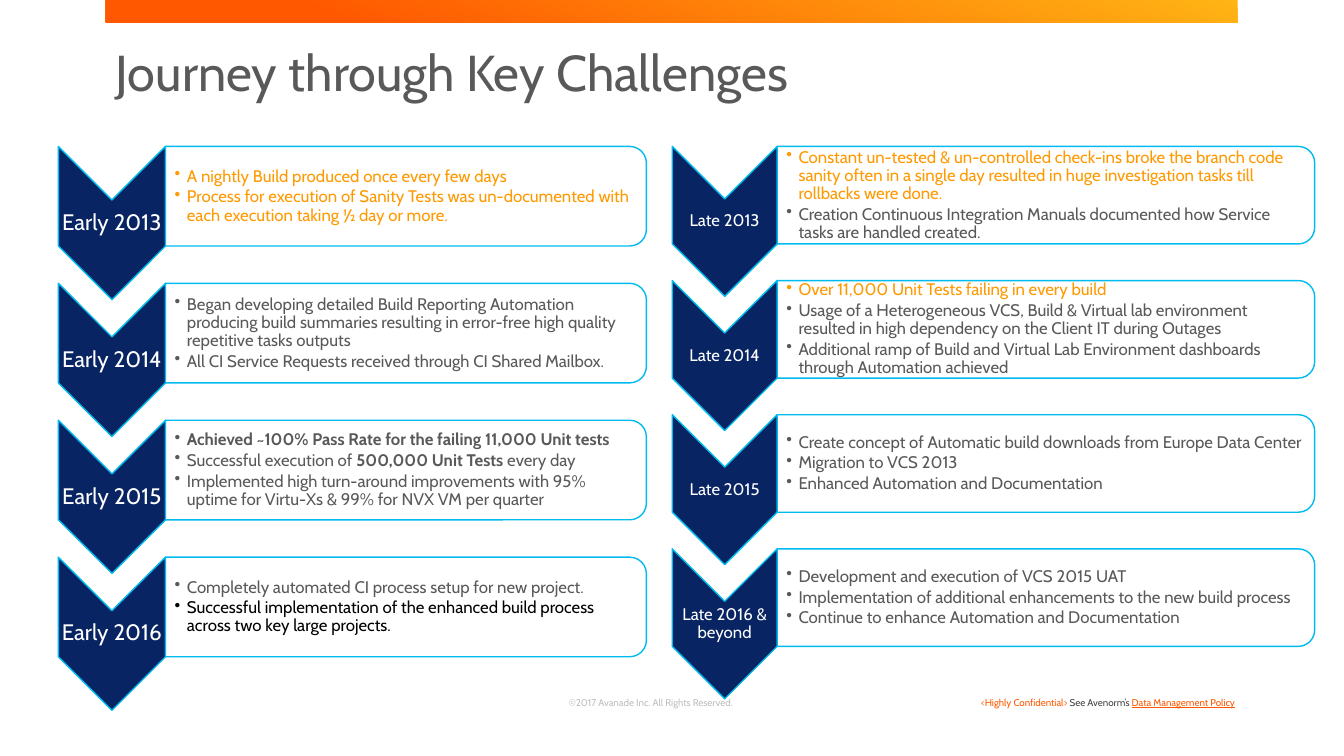
from dataclasses import dataclass

from lxml import etree
from pptx import Presentation
from pptx.dml.color import RGBColor
from pptx.enum.shapes import MSO_SHAPE
from pptx.enum.text import MSO_ANCHOR, PP_ALIGN
from pptx.oxml.ns import qn
from pptx.util import Cm, Pt

CHEVRON = MSO_SHAPE.CHEVRON
PANEL = MSO_SHAPE.ROUND_2_SAME_RECTANGLE
RECTANGLE = MSO_SHAPE.RECTANGLE
TOP, MIDDLE, BOTTOM = MSO_ANCHOR.TOP, MSO_ANCHOR.MIDDLE, MSO_ANCHOR.BOTTOM
LEFT, CENTER, RIGHT = PP_ALIGN.LEFT, PP_ALIGN.CENTER, PP_ALIGN.RIGHT


@dataclass(frozen=True)
class Theme:
    font: str = "Cabin"
    navy: str = "082463"
    cyan: str = "00BBEE"
    white: str = "FFFFFF"
    black: str = "000000"
    grey: str = "595959"
    dark_grey: str = "464646"
    light_grey: str = "BFBFBF"
    amber: str = "FF9900"
    yellow: str = "FFB414"
    orange: str = "FF5800"
    title_size: int = 36
    early_size: int = 16
    body_size: int = 12
    footer_size: int = 7


THEME = Theme()

# Each step: label, then bullets as (text, colour); ** switches bold on and off
EARLY_STEPS = [
    ("Early 2013", [
        ("A nightly Build produced once every few days", THEME.amber),
        ("Process for execution of Sanity Tests was un-documented with each "
         "execution taking ½ day or more.", THEME.amber)]),
    ("Early 2014", [
        ("Began developing detailed Build Reporting Automation producing build summaries "
         "resulting in error-free high quality repetitive tasks outputs", THEME.grey),
        ("All CI Service Requests received through CI Shared Mailbox.", THEME.grey)]),
    ("Early 2015", [
        ("**Achieved ~100% Pass Rate for the failing 11,000 Unit tests**", THEME.grey),
        ("Successful execution of **500,000 Unit Tests **every day", THEME.grey),
        ("Implemented high turn-around improvements with 95% uptime for Virtu-Xs "
         "& 99% for NVX VM per quarter", THEME.grey)]),
    ("Early 2016", [
        ("Completely automated CI process setup for new project.", THEME.grey),
        ("Successful implementation of the enhanced build process across two key "
         "large projects.", THEME.black)]),
]
LATE_STEPS = [
    ("Late 2013", [
        ("Constant un-tested & un-controlled check-ins broke the branch code sanity often in "
         "a single day resulted in huge investigation tasks till rollbacks were done.",
         THEME.amber),
        ("Creation Continuous Integration Manuals documented how Service tasks are "
         "handled created.", THEME.grey)]),
    ("Late 2014", [
        ("Over 11,000 Unit Tests failing in every build", THEME.amber),
        ("Usage of a Heterogeneous VCS, Build & Virtual lab environment resulted in high "
         "dependency on the Client IT during Outages", THEME.grey),
        ("Additional ramp of Build and Virtual Lab Environment dashboards through "
         "Automation achieved", THEME.grey)]),
    ("Late 2015", [
        ("Create concept of Automatic build downloads from Europe Data Center", THEME.grey),
        ("Migration to VCS 2013", THEME.grey),
        ("Enhanced Automation and Documentation", THEME.grey)]),
    ("Late 2016 & beyond", [
        ("Development and execution of VCS 2015 UAT", THEME.grey),
        ("Implementation of additional enhancements to the new build process", THEME.grey),
        ("Continue to enhance Automation and Documentation", THEME.grey)]),
]


def color(value):
    return RGBColor.from_string(value)


def add_text_box(slide, box, anchor, insets):
    """Box and insets are in centimetres; insets run left, top, right, bottom."""
    frame = slide.shapes.add_textbox(*map(Cm, box)).text_frame
    frame.word_wrap = True
    frame.vertical_anchor = anchor
    (frame.margin_left, frame.margin_top,
     frame.margin_right, frame.margin_bottom) = map(Cm, insets)
    return frame


def style_paragraph(paragraph, size, text_color, align=LEFT, spacing=None, after=0):
    paragraph.alignment = align
    paragraph.line_spacing = spacing
    paragraph.space_after = Pt(after)
    font = paragraph.font
    font.name, font.size = THEME.font, Pt(size)
    if text_color:
        font.color.rgb = color(text_color)


def add_bullet(paragraph, indent):
    properties = paragraph._p.get_or_add_pPr()
    properties.set("marL", str(Cm(indent)))
    properties.set("indent", str(-Cm(indent)))
    etree.SubElement(properties, qn("a:buChar")).set("char", "•")


def add_turned_shape(slide, kind, box, fill_color, opacity=100):
    """Add a shape turned a quarter right that covers the given box."""
    left, top, width, height = box
    shift = (width - height) / 2
    shape = slide.shapes.add_shape(
        kind, Cm(left + shift), Cm(top - shift), Cm(height), Cm(width))
    shape.rotation = 90
    shape.shadow.inherit = False
    shape.fill.solid()
    shape.fill.fore_color.rgb = color(fill_color)
    if opacity < 100:
        rgb = shape._element.spPr.find(qn("a:solidFill")).find(qn("a:srgbClr"))
        etree.SubElement(rgb, qn("a:alpha")).set("val", str(opacity * 1000))
    shape.line.color.rgb = color(THEME.cyan)
    shape.line.width = Pt(1)


def add_top_bar(slide, box):
    bar = slide.shapes.add_shape(RECTANGLE, *map(Cm, box))
    bar.shadow.inherit = False
    bar.line.fill.background()
    bar.fill.gradient()
    bar.fill.gradient_angle = 250
    stops = [(0, THEME.yellow), (0.8, THEME.orange)]
    for stop, (position, stop_color) in zip(bar.fill.gradient_stops, stops):
        stop.position = position
        stop.color.rgb = color(stop_color)


def add_title(slide, box):
    paragraph = add_text_box(slide, box, TOP, (0.25, 0.13, 0.25, 0.13)).paragraphs[0]
    paragraph.text = "Journey through Key Challenges"
    style_paragraph(paragraph, THEME.title_size, THEME.grey, spacing=0.9)


def add_footer(slide, box):
    left, top, width, height = box
    # Copyright line
    frame = add_text_box(slide, (left, top, 6.9, height - 0.1), BOTTOM, (0, 0, 0, 0))
    paragraph = frame.paragraphs[0]
    paragraph.text = "©2017 Avanade Inc. All Rights Reserved."
    style_paragraph(paragraph, THEME.footer_size, THEME.light_grey, CENTER, 0.9, 2)
    # Confidentiality note
    note_width = 7.72
    note_box = (left + width - note_width, top + 0.02, note_width, height)
    paragraph = add_text_box(slide, note_box, TOP, (0.25, 0.13, 0.25, 0.13)).paragraphs[0]
    style_paragraph(paragraph, THEME.footer_size, None, RIGHT)
    for text, text_color, underline in [
            ("<Highly Confidential> ", THEME.orange, False),
            ("See Avenorm’s ", THEME.dark_grey, False),
            ("Data Management Policy", THEME.orange, True)]:
        run = paragraph.add_run()
        run.text = text
        run.font.color.rgb = color(text_color)
        run.font.underline = underline


def add_step(slide, box, label, bullets, label_size):
    left, top, width, height = box
    chevron_width = 0.7 * height
    panel_left, panel_width, panel_height = left + chevron_width, width - chevron_width, 0.65 * height
    # Chevron with its date
    add_turned_shape(slide, CHEVRON, (left, top, chevron_width, height), THEME.navy)
    label_box = (left, top + chevron_width / 2, chevron_width, height - chevron_width)
    paragraph = add_text_box(slide, label_box, MIDDLE, (0.03,) * 4).paragraphs[0]
    paragraph.text = label
    style_paragraph(paragraph, label_size, THEME.white, CENTER, 0.9, 0.35 * label_size)
    # Panel with its bullets
    add_turned_shape(slide, PANEL, (panel_left, top, panel_width, panel_height), THEME.white, 90)
    text_box = (panel_left, top + 0.12, panel_width - 0.12, panel_height - 0.24)
    frame = add_text_box(slide, text_box, MIDDLE, (0.23, 0.03, 0.03, 0.03))
    for index, (text, text_color) in enumerate(bullets):
        paragraph = frame.add_paragraph() if index else frame.paragraphs[0]
        add_bullet(paragraph, 0.31)
        style_paragraph(paragraph, THEME.body_size, text_color, LEFT, 0.9, 1.8)
        for part, segment in enumerate(text.split("**")):
            if segment:
                run = paragraph.add_run()
                run.text = segment
                if part % 2:
                    run.font.bold = True


def add_journey(slide, box, steps, step_height, label_size):
    left, top, width, height = box
    pitch = (height - step_height) / (len(steps) - 1)
    for index, (label, bullets) in enumerate(steps):
        step_box = (left, top + index * pitch, width, step_height)
        add_step(slide, step_box, label, bullets, label_size)


def main():
    presentation = Presentation()
    presentation.slide_width, presentation.slide_height = Cm(33.87), Cm(19.05)
    slide = presentation.slides.add_slide(presentation.slide_layouts[6])
    add_footer(slide, (12.95, 17.4, 18.42, 0.56))
    add_top_bar(slide, (2.67, 0, 28.52, 0.56))
    add_title(slide, (2.67, 1.09, 28.52, 2.77))
    add_journey(slide, (1.47, 3.69, 14.82, 14.21), EARLY_STEPS, 3.86, THEME.early_size)
    add_journey(slide, (16.94, 3.69, 16.19, 13.92), LATE_STEPS, 3.78, THEME.body_size)
    presentation.save("out.pptx")


if __name__ == "__main__":
    main()
